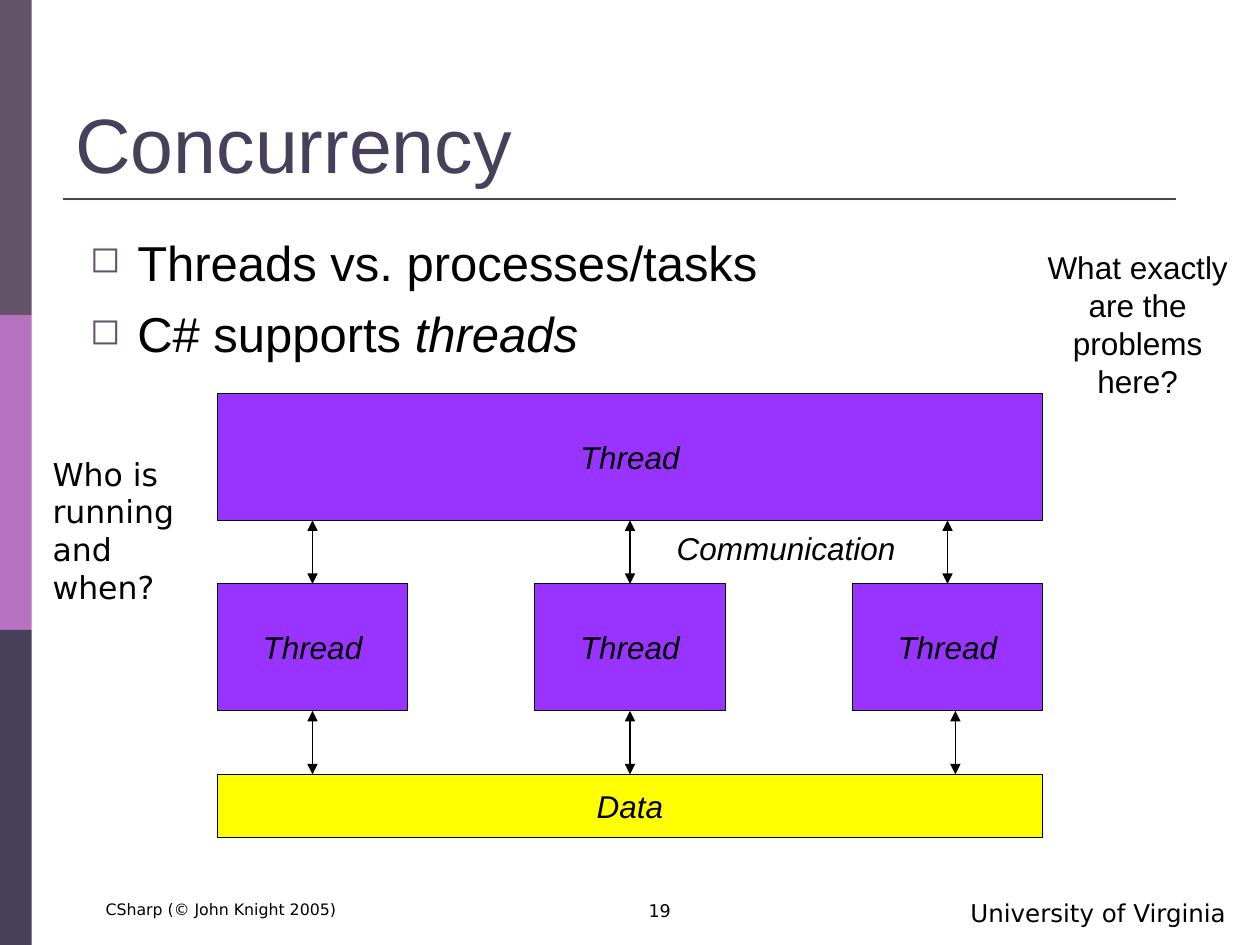
from lxml import etree
from pptx import Presentation
from pptx import util as u
from pptx.dml.color import RGBColor
from pptx.enum import shapes, text
from pptx.oxml.ns import qn

THEME = {
    "ink": "000000", "plum": "635369", "orchid": "B671C1", "navy": "47405A",
    "thread": "9933FF", "data": "FFFF00",
    "sans": "Arial", "ui": "DejaVu Sans",
    "title": 44, "body": 28, "label": 18, "org": 14, "page": 10, "footer": 9,
}
ALIGN = {"l": text.PP_ALIGN.LEFT, "c": text.PP_ALIGN.CENTER, "r": text.PP_ALIGN.RIGHT}

SIDEBAR = ["plum", "orchid", "navy"]
BULLETS = [[("Threads vs. processes/tasks", False)],
           [("C# supports ", False), ("threads", True)]]
LABELS = [
    ((1.27, 0.76, 22.86, 3.18), ["Concurrency"],
     dict(size="title", color="navy", anchor=text.MSO_ANCHOR.BOTTOM)),
    ((1.57, 4.57, 22.23, 3.43), BULLETS, dict(size="body", bullet="◻", before=7)),
    ((13.39, 10.54, 5.4, 1.02), ["Communication"], dict(italic=True)),
    ((0.81, 9.04, 3.73, 3.3), ["Who is", "running", "and when?"], dict(font="ui")),
    ((20.85, 4.88, 4.17, 3.3), ["What exactly are the problems here?"], dict(align="c")),
    ((0.69, 18.01, 7.52, 0.84), ["CSharp (© John Knight 2005)"],
     dict(size="footer", font="ui", align="c")),
    ((12.07, 18.01, 1.7, 0.84), ["19"], dict(size="page", font="ui", align="r")),
    ((14.81, 17.98, 10.16, 0.86), ["University of Virginia"],
     dict(size="org", font="ui", align="r")),
]
UNIT, LEFT, TOP = 1.28, 4.38, 7.93
THREADS = ["Thread", "Thread", "Thread"]
LAST_ARROW_SHIFT = 0.16


def rgb(name):
    return RGBColor.from_string(THEME[name])


def write(sp, paras, size="label", font="sans", color="ink", italic=False, align="l",
          anchor=text.MSO_ANCHOR.TOP, wrap=True, bullet=None, before=0):
    tf = sp.text_frame
    tf.word_wrap = wrap
    tf.vertical_anchor = anchor
    for i, para in enumerate(paras):
        p = tf.add_paragraph() if i else tf.paragraphs[0]
        p.alignment = ALIGN[align]
        p.space_before = u.Pt(before)
        if bullet:
            pPr = p._p.get_or_add_pPr()
            indent = u.Cm(0.95)
            pPr.set("marL", str(indent))
            pPr.set("indent", str(-indent))
            clr = etree.SubElement(pPr, qn("a:buClr"))
            etree.SubElement(clr, qn("a:srgbClr"), val=THEME["plum"])
            etree.SubElement(pPr, qn("a:buSzPct"), val="75000")
            etree.SubElement(pPr, qn("a:buChar"), char=bullet)
        for words, slanted in [(para, italic)] if isinstance(para, str) else para:
            r = p.add_run()
            r.text = words
            r.font.name = THEME[font]
            r.font.size = u.Pt(THEME[size])
            r.font.italic = slanted
            r.font.color.rgb = rgb(color)


def rect(s, box, fill, label=None):
    sp = s.shapes.add_shape(shapes.MSO_SHAPE.RECTANGLE, *map(u.Cm, box))
    sp.shadow.inherit = False
    sp.fill.solid()
    sp.fill.fore_color.rgb = rgb(fill)
    if label:
        sp.line.color.rgb = rgb("ink")
        sp.line.width = u.Pt(0.75)
        write(sp, [label], italic=True, align="c", anchor=text.MSO_ANCHOR.MIDDLE, wrap=False)
    else:
        sp.line.fill.background()
    return sp


def line(s, ends, color="ink", width=0.75, arrows=False):
    cx = s.shapes.add_connector(shapes.MSO_CONNECTOR.STRAIGHT, *map(u.Cm, ends))
    cx.line.color.rgb = rgb(color)
    cx.line.width = u.Pt(width)
    if arrows:
        for tag in ("a:headEnd", "a:tailEnd"):
            etree.SubElement(cx.line._get_or_add_ln(), qn(tag), type="triangle")
    etree.SubElement(cx._element.spPr, qn("a:effectLst"))
    return cx


def diagram(s):
    wide, mid, low = 13 * UNIT, TOP + 3 * UNIT, TOP + 6 * UNIT
    main = rect(s, (LEFT, TOP, wide, 2 * UNIT), "thread", "Thread")
    data = rect(s, (LEFT, low, wide, UNIT), "data", "Data")
    for i, name in enumerate(THREADS):
        x = LEFT + 5 * UNIT * i
        cx = x + 1.5 * UNIT
        last, center = i == len(THREADS) - 1, i == len(THREADS) // 2
        low_x = cx + LAST_ARROW_SHIFT * last
        sp = rect(s, (x, mid, 3 * UNIT, 2 * UNIT), "thread", name)
        upper = line(s, (cx, mid - UNIT, cx, mid), arrows=True)
        lower = line(s, (low_x, low - UNIT, low_x, low), arrows=True)
        upper.end_connect(sp, 0)
        if not last:
            lower.begin_connect(sp, 2)
        if center:
            upper.begin_connect(main, 2)
            lower.end_connect(data, 0)


def main():
    """Build the concurrency slide."""
    prs = Presentation()
    prs.slide_width, prs.slide_height = u.Cm(25.4), u.Cm(19.05)
    s = prs.slides.add_slide(prs.slide_layouts[6])
    band = 19.05 / len(SIDEBAR)
    for i, fill in enumerate(SIDEBAR):
        rect(s, (0, band * i, 0.64, band), fill)
    line(s, (1.27, 4.01, 23.7, 4.01), "navy", 1.5)
    diagram(s)
    for box, paras, fmt in LABELS:
        write(s.shapes.add_textbox(*map(u.Cm, box)), paras, **fmt)
    prs.save("out.pptx")


if __name__ == "__main__":
    main()
